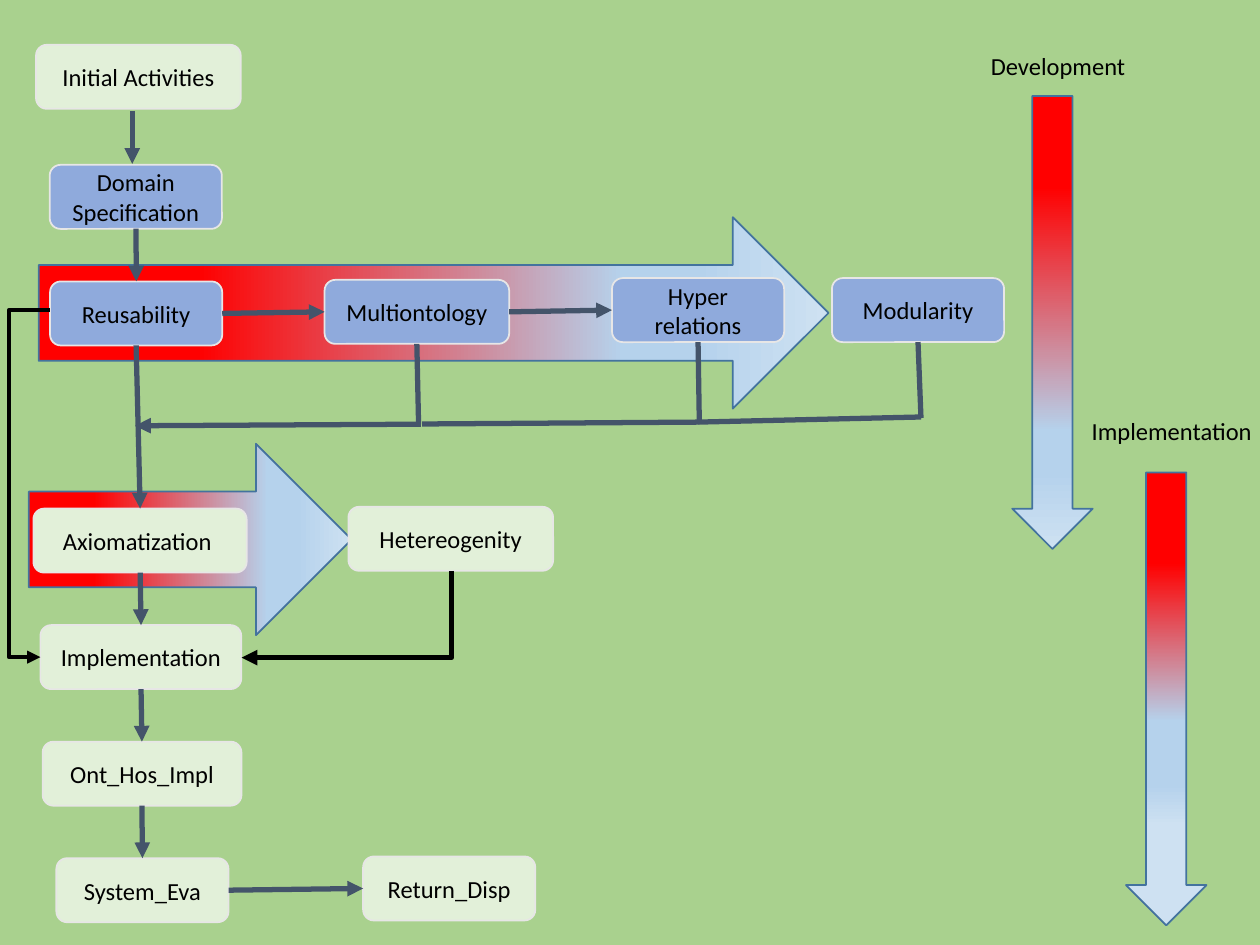
"""Build the ontology workflow slide with its two phase arrows."""
import lxml.etree
import pptx
import pptx.dml.color
import pptx.enum.shapes
import pptx.enum.text
import pptx.oxml.ns
import pptx.util

Pt = pptx.util.Pt
qn = pptx.oxml.ns.qn
shapes = pptx.enum.shapes.MSO_SHAPE
links = pptx.enum.shapes.MSO_CONNECTOR
COLORS = {
    "back": "A9D18E", "blue": "8FAADC", "pale": "E2F0D9", "edge": "E7E6E6",
    "slate": "44546A", "black": "000000", "rim": "43739E",
    "red": "FF0000", "sky": "B5D2EC", "mist": "CEE1F2",
}
FONT = {"name": "Calibri", "size": Pt(14)}
FRAME = {"word_wrap": True, "vertical_anchor": pptx.enum.text.MSO_ANCHOR.MIDDLE}
LABEL = {"word_wrap": False, "auto_size": pptx.enum.text.MSO_AUTO_SIZE.SHAPE_TO_FIT_TEXT}


def tint(name):
    return pptx.dml.color.RGBColor.from_string(COLORS[name])


def write(shape, text, frame, align):
    for key, value in frame.items():
        setattr(shape.text_frame, key, value)
    para = shape.text_frame.paragraphs[0]
    para.alignment = align
    run = para.add_run()
    run.text = text
    for key, value in FONT.items():
        setattr(run.font, key, value)
    run.font.color.rgb = tint("black")


deck = pptx.Presentation()
deck.slide_width, deck.slide_height = Pt(720), Pt(540)
slide = deck.slides.add_slide(deck.slide_layouts[6])
slide.background.fill.solid()
slide.background.fill.fore_color.rgb = tint("back")
tree = slide.shapes

SHADES = ("red", "sky", "sky", "mist")
LONG = (20, 74, 83, 100)
SHORT = (20, 55, 69, 78)
phases = [
    (54, 216, 109.4, 184.5, 270, LONG),
    (193.1, -46.9, 109.4, 451.4, 270, LONG),
    (578.4, 54.9, 46, 258.8, 0, LONG),
    (643.4, 270, 46, 258.8, 0, SHORT),
]
for left, top, width, height, turn, stops in phases:
    arrow = tree.add_shape(shapes.DOWN_ARROW, Pt(left), Pt(top), Pt(width), Pt(height))
    arrow.rotation = turn
    arrow.shadow.inherit = False
    arrow.line.color.rgb = tint("rim")
    arrow.line.width = Pt(1)
    arrow.fill.gradient()
    grad = arrow._element.spPr.find(qn("a:gradFill"))
    for child in list(grad):
        grad.remove(child)
    grad.set("rotWithShape", "1")
    ramp = lxml.etree.SubElement(grad, qn("a:gsLst"))
    for spot, shade in zip(stops, SHADES):
        stop = lxml.etree.SubElement(ramp, qn("a:gs"), pos=str(spot * 1000))
        lxml.etree.SubElement(stop, qn("a:srgbClr"), val=COLORS[shade])
    lxml.etree.SubElement(grad, qn("a:lin"), ang="5400000", scaled="0")

for text, left, top, width in [
    ("Development", 559.1, 25.3, 93.6),
    ("Implementation", 616.7, 234, 109.4),
]:
    label = tree.add_textbox(Pt(left), Pt(top), Pt(width), Pt(24.24))
    write(label, text, LABEL, pptx.enum.text.PP_ALIGN.LEFT)

steps = [
    ("Initial Activities", 20.6, 25.6, 117, "pale"),
    ("Domain Specification", 28.4, 94.2, 98.4, "blue"),
    ("Reusability", 28.6, 160.8, 98.4, "blue"),
    ("Multiontology", 185.5, 159.9, 105.5, "blue"),
    ("Hyper relations", 349.7, 158.9, 98.4, "blue"),
    ("Modularity", 475.4, 158.9, 98.4, "blue"),
    ("Axiomatization ", 19.1, 290.6, 121.9, "pale"),
    ("Hetereogenity", 199.1, 289.6, 117, "pale"),
    ("Implementation", 23.1, 357.2, 114.8, "pale"),
    ("Ont_Hos_Impl", 24.4, 423.8, 113.6, "pale"),
    ("System_Eva", 32.2, 490.4, 98.4, "pale"),
    ("Return_Disp", 207.5, 489.4, 98.4, "pale"),
]
for text, left, top, width, shade in steps:
    box = tree.add_shape(shapes.ROUNDED_RECTANGLE, Pt(left), Pt(top), Pt(width), Pt(36.6))
    box.shadow.inherit = False
    box.fill.solid()
    box.fill.fore_color.rgb = tint(shade)
    box.line.color.rgb = tint("edge")
    box.line.width = Pt(1)
    write(box, text, FRAME, pptx.enum.text.PP_ALIGN.CENTER)

plain = {"kind": links.STRAIGHT, "shade": "slate", "width": 3, "head": False}
point = {**plain, "head": True}
bend = {**point, "kind": links.ELBOW, "shade": "black"}
lines = [
    (77.7, 130.6, 77.9, 160.8, point),
    (75.6, 63.4, 75.6, 93.6, point),
    (80.1, 327.2, 80.6, 357.2, point),
    (80.6, 393.8, 81.1, 423.8, point),
    (81.1, 460.4, 81.4, 490.4, point),
    (127, 179.1, 185.5, 178.2, point),
    (291, 178.2, 349.7, 177.2, point),
    (130.6, 508.7, 207.5, 507.7, point),
    (77.8, 197.4, 80.1, 290.6, point),
    (238.2, 196.5, 239.2, 242.6, plain),
    (398.9, 195.5, 399.6, 240.8, plain),
    (524.6, 195.5, 526.3, 238.9, plain),
    (526.3, 238.3, 399, 241.2, plain),
    (399.6, 241.2, 241.2, 242.3, plain),
    (240.5, 242.4, 77.2, 243.3, point),
    (173.2, 291, 222.8, 411, {**bend, "preset": "bentConnector2", "turn": 90}),
    (28.6, 177.2, 23.1, 375.5, {**bend, "width": 2.5, "adjust": 4.25}),
]
for left, top, right, base, look in lines:
    link = tree.add_connector(look["kind"], Pt(left), Pt(top), Pt(right), Pt(base))
    link.line.color.rgb = tint(look["shade"])
    link.line.width = Pt(look["width"])
    props = link._element.spPr
    if look["head"]:
        lxml.etree.SubElement(props.find(qn("a:ln")), qn("a:tailEnd"), type="triangle")
    lxml.etree.SubElement(props, qn("a:effectLst"))
    form = props.find(qn("a:prstGeom"))
    if "preset" in look:
        form.set("prst", look["preset"])
        props.find(qn("a:xfrm")).set("rot", str(look["turn"] * 60000))
    if "adjust" in look:
        guides = form.find(qn("a:avLst"))
        if guides is None:
            guides = lxml.etree.SubElement(form, qn("a:avLst"))
        ratio = f"val {round(look['adjust'] * 100000)}"
        lxml.etree.SubElement(guides, qn("a:gd"), name="adj1", fmla=ratio)

deck.save("out.pptx")
